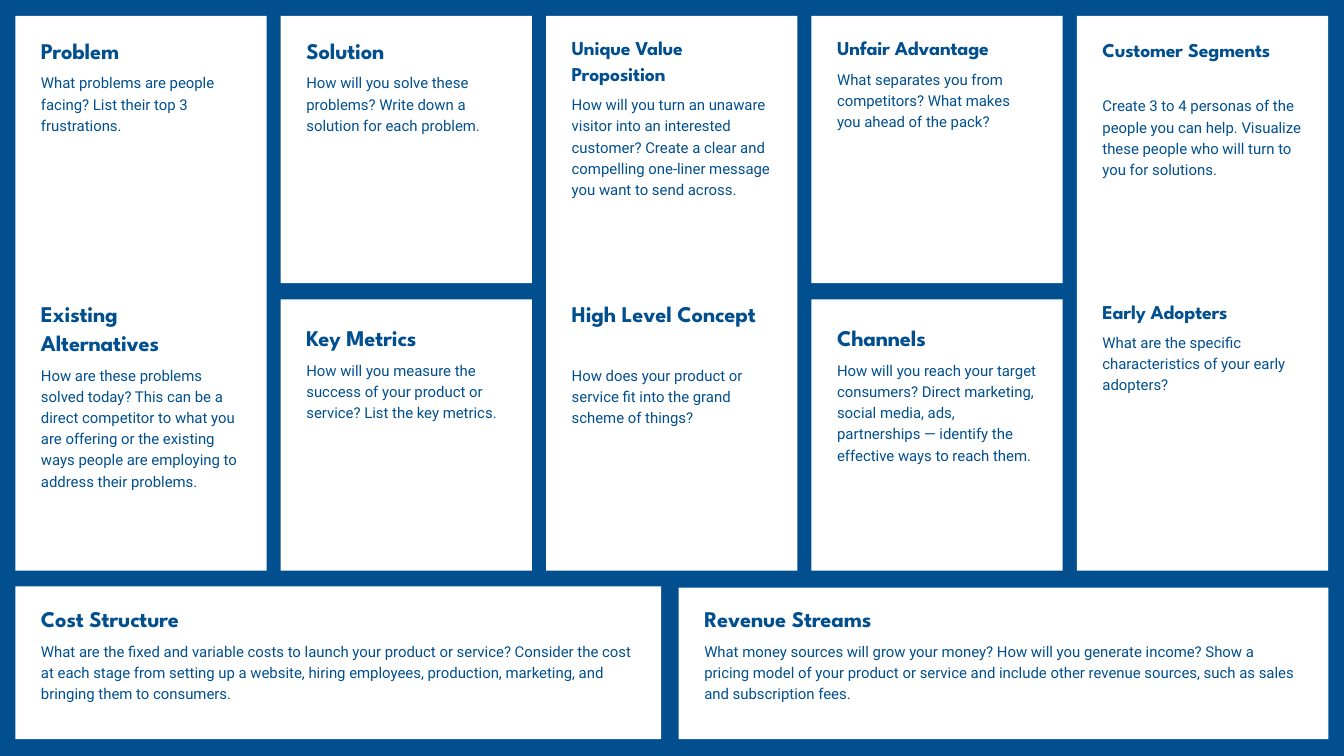
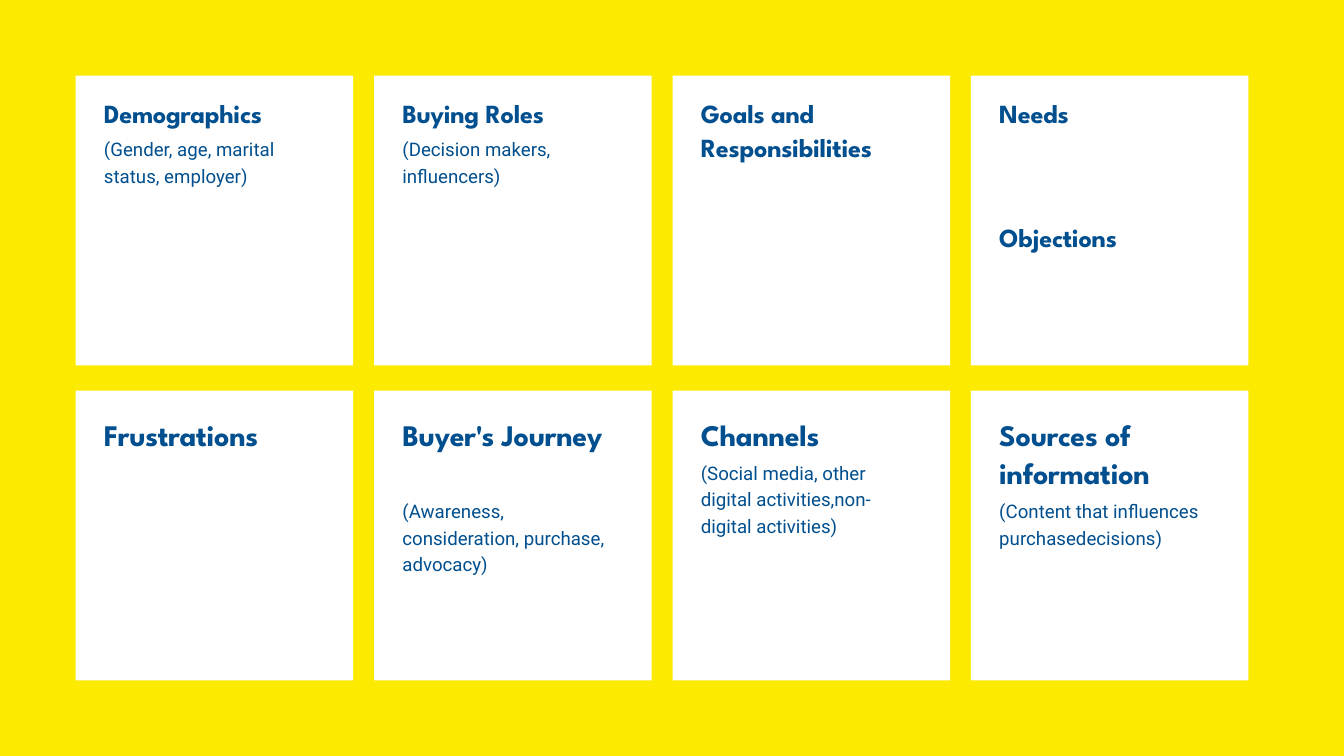
from dataclasses import dataclass

from pptx import Presentation
from pptx import util as u
from pptx.dml import color
from pptx.enum import shapes, text


@dataclass(frozen=True)
class Theme:
    blue: str = "014F8E"
    yellow: str = "FCEA00"
    white: str = "FFFFFF"
    heading_font: str = "League Spartan"
    body_font: str = "Roboto"
    heading_leading: float = 1.3
    body_leading: float = 1.42
    small: int = 21
    medium: int = 24
    large: int = 28
    huge: int = 32
    canvas_body: int = 16
    persona_body: int = 20


THEME = Theme()
CM_PER_POINT = 2.54 / 72


class Board:
    def __init__(self, deck, background, body_size, inset, note_gap):
        self.slide = deck.slides.add_slide(deck.slide_layouts[6])
        self.body_size = body_size
        self.inset = inset
        self.note_gap = note_gap
        fill = self.slide.background.fill
        fill.solid()
        fill.fore_color.rgb = color.RGBColor.from_string(background)

    def panel(self, left, top, width, height):
        card = self.slide.shapes.add_shape(
            shapes.MSO_SHAPE.RECTANGLE, *map(u.Cm, (left, top, width, height)))
        card.shadow.inherit = False
        card.fill.solid()
        card.fill.fore_color.rgb = color.RGBColor.from_string(THEME.white)
        card.line.fill.background()

    def words(self, content, left, top, width, lines, size, font, leading, bold=False):
        height = lines * size * leading * CM_PER_POINT
        box = self.slide.shapes.add_textbox(*map(u.Cm, (left, top, width, height)))
        frame = box.text_frame
        frame.margin_left = frame.margin_right = 0
        frame.margin_top = frame.margin_bottom = 0
        frame.word_wrap = True
        frame.auto_size = text.MSO_AUTO_SIZE.SHAPE_TO_FIT_TEXT
        frame.text = content
        paragraph = frame.paragraphs[0]
        paragraph.line_spacing = u.Pt(round(size * leading, 1))
        run = paragraph.runs[0]
        run.font.name = font
        run.font.size = u.Pt(size)
        run.font.bold = bold
        run.font.color.rgb = color.RGBColor.from_string(THEME.blue)
        if bold:
            run.font._element.set("spc", str(-size))
        return top + height

    def topic(self, panel_left, top, width, size, heading, lines=1, note="", note_lines=3):
        left = panel_left + self.inset
        bottom = self.words(heading, left, top, width, lines, size,
                            THEME.heading_font, THEME.heading_leading, True)
        if note:
            self.words(note, left, bottom + self.note_gap, width, note_lines,
                       self.body_size, THEME.body_font, THEME.body_leading)


def lean_canvas(deck):
    board = Board(deck, THEME.blue, THEME.canvas_body, inset=0.97, note_gap=0.27)
    columns = [0.58 + 10.03 * i for i in range(5)]
    problem, solution, value, advantage, customers = columns
    costs, revenue = 0.58, 25.65
    panel_width = 9.5
    upper, lower, bottom = 0.6, 11.32, 21.57

    for left in columns:
        if left in (solution, advantage):
            board.panel(left, upper, panel_width, 10.11)
            board.panel(left, lower, panel_width, bottom - lower)
        else:
            board.panel(left, upper, panel_width, bottom - upper)
    board.panel(costs, 22.17, 24.41, 5.77)
    board.panel(revenue, 22.22, 24.56, 5.72)

    first, middle, split, last = 1.3, 11.25, 12.17, 22.78
    narrow, wide = 7.54, 22.5
    small, medium = THEME.small, THEME.medium
    topics = [
        (problem, first, narrow, medium, "Problem", 1,
         "What problems are people facing? List their top 3 frustrations."),
        (solution, first, narrow, medium, "Solution", 1,
         "How will you solve these problems? Write down a solution for each problem."),
        (value, first, narrow, small, "Unique Value Proposition", 2,
         "How will you turn an unaware visitor into an interested customer? Create a "
         "clear and compelling one-liner message you want to send across.", 5),
        (advantage, first, narrow, small, "Unfair Advantage", 1,
         "What separates you from competitors? What makes you ahead of the pack?"),
        (customers, first + 0.05, narrow, small, "Customer Segments", 2,
         "Create 3 to 4 personas of the people you can help. Visualize these people "
         "who will turn to you for solutions.", 4),
        (problem, middle, narrow, medium, "Existing Alternatives", 2,
         "How are these problems solved today? This can be a direct competitor to what "
         "you are offering or the existing ways people are employing to address their "
         "problems.", 6),
        (solution, split, narrow, medium, "Key Metrics", 1,
         "How will you measure the success of your product or service? List the key "
         "metrics."),
        (value, middle, narrow, medium, "High Level Concept", 2,
         "How does your product or service fit into the grand scheme of things?"),
        (advantage, split, narrow, medium, "Channels", 1,
         "How will you reach your target consumers? Direct marketing, social media, "
         "ads, partnerships — identify the effective ways to reach them.", 5),
        (customers, middle, narrow, small, "Early Adopters", 1,
         "What are the specific characteristics of your early adopters?"),
        (costs, last, wide, medium, "Cost Structure", 1,
         "What are the fixed and variable costs to launch your product or service? "
         "Consider the cost at each stage from setting up a website, hiring employees, "
         "production, marketing, and bringing them to consumers."),
        (revenue, last, wide, medium, "Revenue Streams", 1,
         "What money sources will grow your money? How will you generate income? Show a "
         "pricing model of your product or service and include other revenue sources, "
         "such as sales and subscription fees."),
    ]
    for topic in topics:
        board.topic(*topic)


def buyer_persona(deck):
    board = Board(deck, THEME.yellow, THEME.persona_body, inset=1.07, note_gap=0.2)
    columns = [2.86 + 11.28 * i for i in range(4)]
    rows = [2.86 + 11.91 * i for i in range(2)]
    text_width = 8.33

    for top in rows:
        for left in columns:
            board.panel(left, top, 10.49, 10.95)

    profile = [
        ("Demographics", 1, "(Gender, age, marital status, employer)", 2),
        ("Buying Roles", 1, "(Decision makers, influencers)", 2),
        ("Goals and Responsibilities", 2),
        ("Needs",),
    ]
    behaviour = [
        ("Frustrations",),
        ("Buyer's Journey", 2, "(Awareness, consideration, purchase, advocacy)", 3),
        ("Channels", 1, "(Social media, other digital activities,non-digital activities)", 3),
        ("Sources of information", 2, "(Content that influences purchasedecisions)", 2),
    ]
    for top, size, topics in ((3.58, THEME.large, profile), (15.62, THEME.huge, behaviour)):
        for left, topic in zip(columns, topics):
            board.topic(left, top, text_width, size, *topic)
    board.topic(columns[-1], 8.26, text_width, THEME.large, "Objections")


def main():
    deck = Presentation()
    deck.slide_width = u.Cm(50.8)
    deck.slide_height = u.Cm(28.58)
    lean_canvas(deck)
    buyer_persona(deck)
    deck.save("out.pptx")


if __name__ == "__main__":
    main()
